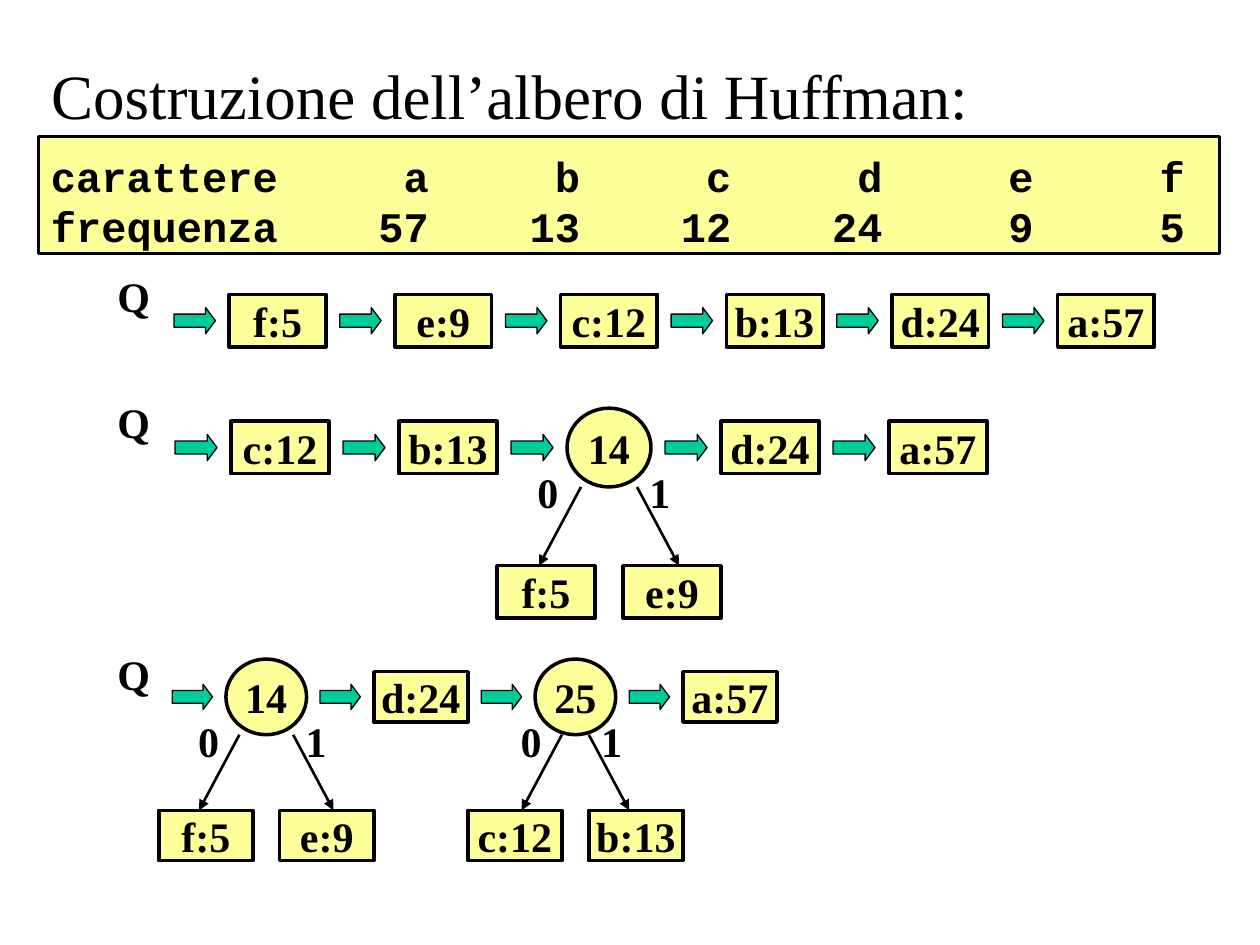
"""Build the slide on constructing a Huffman tree from a queue of frequencies."""
from lxml.etree import SubElement
from pptx import Presentation
from pptx.dml.color import RGBColor
from pptx.enum.shapes import MSO_CONNECTOR as Connector, MSO_SHAPE as Shape
from pptx.enum.text import MSO_ANCHOR as Anchor, MSO_AUTO_SIZE as AutoSize, PP_ALIGN as Align
from pptx.oxml.ns import qn
from pptx.util import Pt

BLACK = RGBColor(0x00, 0x00, 0x00)
YELLOW = RGBColor(0xFF, 0xFF, 0x99)
GREEN = RGBColor(0x00, 0xCC, 0x99)

TITLE_FONT = {"name": "Times New Roman", "size": Pt(36), "bold": False}
NODE_FONT = {"name": "Times New Roman", "size": Pt(24), "bold": True}
TABLE_FONT = {"name": "Courier New", "size": Pt(24), "bold": True}
CHAR_WIDTH = 14.4

FREQUENCIES = {"a": 57, "b": 13, "c": 12, "d": 24, "e": 9, "f": 5}

QUEUES = [
    {"top": 144, "middle": 183.25, "unit": (7.89, 7.5),
     "items": ["f:5", "e:9", "c:12", "b:13", "d:24", "a:57"]},
    {"top": 216, "middle": 255.75, "unit": (8, 7.5),
     "items": ["c:12", "b:13", ("14", "f:5", "e:9", 1), "d:24", "a:57"]},
    {"top": 360, "middle": 398.25, "unit": (7.68, 7.2),
     "items": [("14", "f:5", "e:9", 1), "d:24", ("25", "c:12", "b:13", 2), "a:57"]},
]


class HuffmanSlide:
    """Hold the drawing style and the slide being filled."""

    def __init__(self, slide):
        self.slide = slide
        self.unit_x, self.unit_y = 8, 7.5

    def set_text(self, frame, lines, font, align=Align.LEFT, **layout):
        settings = {"margin_left": Pt(7.2), "margin_right": Pt(7.2),
                    "margin_top": Pt(3.6), "margin_bottom": Pt(3.6),
                    "auto_size": AutoSize.NONE, "word_wrap": False,
                    "vertical_anchor": Anchor.MIDDLE, **layout}
        for key, value in settings.items():
            setattr(frame, key, value)
        frame.text = "\n".join(lines)
        for paragraph in frame.paragraphs:
            paragraph.alignment = align
            for run in paragraph.runs:
                run.font.color.rgb = BLACK
                for key, value in font.items():
                    setattr(run.font, key, value)

    def title(self, text, left, top, width, height):
        heading = self.slide.shapes.title
        box = {"left": left, "top": top, "width": width, "height": height}
        for key, value in box.items():
            setattr(heading, key, Pt(value))
        self.set_text(heading.text_frame, [text], TITLE_FONT, word_wrap=True,
                      vertical_anchor=Anchor.TOP, margin_top=Pt(8))

    def shape(self, kind, left, top, width, height, fill=YELLOW, weight=2):
        drawn = self.slide.shapes.add_shape(kind, Pt(left), Pt(top), Pt(width), Pt(height))
        drawn.shadow.inherit = False
        drawn.fill.solid()
        drawn.fill.fore_color.rgb = fill
        drawn.line.color.rgb = BLACK
        drawn.line.width = Pt(weight)
        return drawn

    def frequency_table(self, left, top, width, height):
        panel = self.shape(Shape.RECTANGLE, left, top, width, height)
        rows = ["\t".join(["carattere", *FREQUENCIES]),
                "\t".join(["frequenza", *map(str, FREQUENCIES.values())])]
        self.set_text(panel.text_frame, rows, TABLE_FONT, word_wrap=True,
                      vertical_anchor=Anchor.TOP, margin_top=Pt(8))
        for paragraph in panel.text_frame.paragraphs:
            paragraph.line_spacing = Pt(28.6)
            tabs = SubElement(paragraph._p.get_or_add_pPr(), qn("a:tabLst"))
            for column in range(len(FREQUENCIES)):
                position = Pt(CHAR_WIDTH * (15 + 6 * column))
                SubElement(tabs, qn("a:tab"), pos=str(position), algn="r")

    def label(self, text, left, top, width, height):
        box = self.slide.shapes.add_textbox(Pt(left), Pt(top), Pt(width), Pt(height))
        self.set_text(box.text_frame, [text], NODE_FONT)

    def node(self, text, left, middle, columns=7, rows=4, kind=Shape.RECTANGLE):
        height = rows * self.unit_y
        drawn = self.shape(kind, left, middle - height / 2, columns * self.unit_x, height)
        self.set_text(drawn.text_frame, [text], NODE_FONT, Align.CENTER)

    def queue_arrow(self, left, middle):
        arrow = self.shape(Shape.RIGHT_ARROW, left, middle - self.unit_y,
                           3 * self.unit_x, 2 * self.unit_y, GREEN, 0.75)
        arrow.adjustments[0], arrow.adjustments[1] = 0.5, 0.375

    def branch(self, start_x, start_y, end_x, end_y):
        line = self.slide.shapes.add_connector(
            Connector.STRAIGHT, Pt(start_x), Pt(start_y), Pt(end_x), Pt(end_y))
        line.line.color.rgb = BLACK
        line.line.width = Pt(1.5)
        SubElement(line.line._get_or_add_ln(), qn("a:tailEnd"), type="triangle")
        SubElement(line._element.spPr, qn("a:effectLst"))

    def tree(self, left, middle, root, zero_leaf, one_leaf, inset):
        self.node(root, left, middle, 6, 6, Shape.OVAL)
        root_bottom = middle + 3 * self.unit_y
        leaf_top = root_bottom + 6 * self.unit_y
        sides = [("0", zero_leaf, inset, -3, -5, inset - 4),
                 ("1", one_leaf, 6 - inset, 3, 4, 6 - inset)]
        for bit, leaf, start, reach, leaf_column, bit_column in sides:
            start_x = left + start * self.unit_x
            self.branch(start_x, root_bottom, start_x + reach * self.unit_x, leaf_top)
            self.node(leaf, left + leaf_column * self.unit_x, leaf_top + 2 * self.unit_y)
            self.label(bit, left + bit_column * self.unit_x,
                       root_bottom - 2.4 * self.unit_y, 29, 41)

    def queue(self, top, middle, unit, items):
        self.unit_x, self.unit_y = unit
        self.label("Q", 60, top, 36, 50.4)
        left = 60 + 5 * self.unit_x
        for item in items:
            self.queue_arrow(left, middle)
            left += 4 * self.unit_x
            if isinstance(item, tuple):
                self.tree(left, middle, *item)
                left += 7 * self.unit_x
            else:
                self.node(item, left, middle)
                left += 8 * self.unit_x


def main():
    presentation = Presentation()
    presentation.slide_width, presentation.slide_height = Pt(720), Pt(540)
    page = HuffmanSlide(presentation.slides.add_slide(presentation.slide_layouts[5]))
    page.title("Costruzione dell’albero di Huffman:", 22, 24, 672, 51)
    page.frequency_table(22, 78, 675, 67)
    for queue in QUEUES:
        page.queue(**queue)
    presentation.save("out.pptx")


if __name__ == "__main__":
    main()
